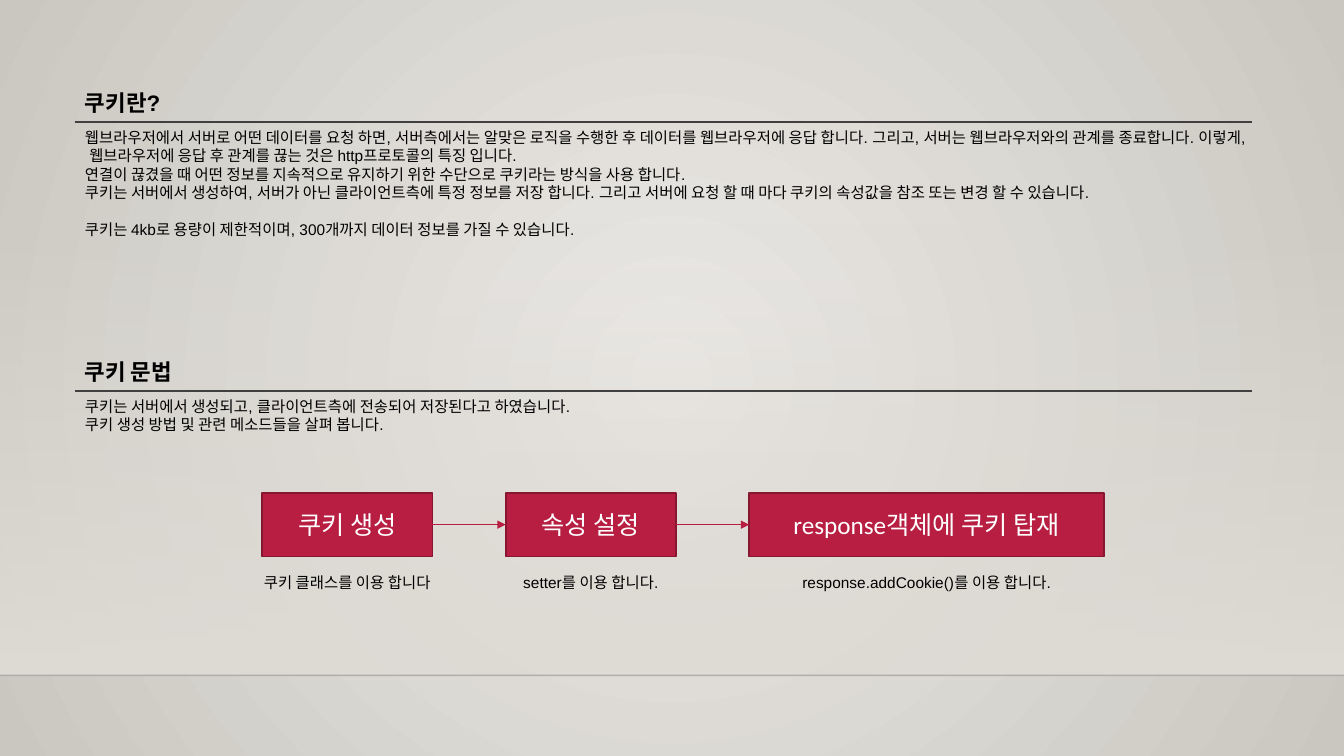
"""Build a slide that explains cookies and the steps of creating one."""
from dataclasses import dataclass

from lxml.etree import SubElement, fromstring
from pptx import Presentation
from pptx.dml.color import RGBColor
from pptx.enum.shapes import MSO_CONNECTOR as Connector, MSO_SHAPE as Preset
from pptx.enum.text import MSO_ANCHOR as Anchor, MSO_AUTO_SIZE as AutoSize, PP_ALIGN as Align
from pptx.oxml.ns import nsdecls, qn
from pptx.util import Pt

SLIDE_WIDTH, SLIDE_HEIGHT = 960, 540
MARGIN, CONTENT_WIDTH = 53.5, 841
FLOOR = 482.4
STEP_LEFT, STEP_TOP, STEP_HEIGHT, STEP_GAP = 187.2, 352, 45.5, 52.3
CAPTION_TOP = 406
BLACK, WHITE, RULE, CRIMSON, DARK_CRIMSON = "000000", "FFFFFF", "404040", "B71E42", "871631"


@dataclass
class Section:
    top: float
    heading: str
    lines: list[str]
    body_height: float
    last_gap: float = 0


@dataclass
class Step:
    label: str
    caption: str
    width: float
    caption_width: float


SECTIONS = [
    Section(60, "쿠키란?", [
        "웹브라우저에서 서버로 어떤 데이터를 요청 하면, 서버측에서는 알맞은 로직을 수행한 후 데이터를 "
        "웹브라우저에 응답 합니다. 그리고, 서버는 웹브라우저와의 관계를 종료합니다. "
        "이렇게, 웹브라우저에 응답 후 관계를 끊는 것은 http프로토콜의 특징 입니다.",
        "연결이 끊겼을 때 어떤 정보를 지속적으로 유지하기 위한 수단으로 쿠키라는 방식을 사용 합니다.",
        "쿠키는 서버에서 생성하여, 서버가 아닌 클라이언트측에 특정 정보를 저장 합니다. "
        "그리고 서버에 요청 할 때 마다 쿠키의 속성값을 참조 또는 변경 할 수 있습니다.",
        "쿠키는 4kb로 용량이 제한적이며, 300개까지 데이터 정보를 가질 수 있습니다.",
    ], 87, 13.2),
    Section(252.2, "쿠키 문법", [
        "쿠키는 서버에서 생성되고, 클라이언트측에 전송되어 저장된다고 하였습니다.",
        "쿠키 생성 방법 및 관련 메소드들을 살펴 봅니다.",
    ], 34),
]
STEPS = [
    Step("쿠키 생성", "쿠키 클래스를 이용 합니다", 121.7, 155.5),
    Step("속성 설정", "setter를 이용 합니다.", 121.7, 155.5),
    Step("response객체에 쿠키 탑재", "response.addCookie()를 이용 합니다.", 253.4, 216),
]


def paint(target, color: str) -> None:
    """Give a fill, line or font colour format a hex colour."""
    target.rgb = RGBColor.from_string(color)


def place(shape, left: float, top: float, width: float, height: float) -> None:
    """Position a shape in points."""
    shape.left, shape.top, shape.width, shape.height = Pt(left), Pt(top), Pt(width), Pt(height)


def write(shape, lines: list[str], *, size: float = 11, font: str = "Arial", color: str = BLACK,
          bold: bool = False, align=Align.LEFT, anchor=Anchor.TOP, last_gap: float = 0) -> None:
    """Fill a shape with unbulleted paragraphs."""
    frame = shape.text_frame
    frame.word_wrap, frame.auto_size, frame.vertical_anchor = True, AutoSize.NONE, anchor
    for number, line in enumerate(lines):
        paragraph = frame.paragraphs[0] if number == 0 else frame.add_paragraph()
        paragraph.alignment = align
        paragraph.space_before = Pt(last_gap if 0 < number == len(lines) - 1 else 0)
        properties = paragraph._p.get_or_add_pPr()
        properties.set("marL", "0")
        properties.set("indent", "0")
        SubElement(properties, qn("a:buNone"))
        run = paragraph.add_run()
        run.text = line
        run.font.size, run.font.name, run.font.bold = Pt(size), font, bold
        paint(run.font.color, color)


def set_gradient(fill, owner, stops: list[tuple[str, int]], direction: str) -> None:
    """Replace a fill with a two-stop gradient of colours and opacities."""
    fill.gradient()
    previous = owner.find(".//" + qn("a:gradFill"))
    marks = "".join(
        f'<a:gs pos="{100000 * number}"><a:srgbClr val="{color}">'
        f'<a:alpha val="{opacity * 1000}"/></a:srgbClr></a:gs>'
        for number, (color, opacity) in enumerate(stops))
    previous.getparent().replace(previous, fromstring(
        f'<a:gradFill {nsdecls("a")} rotWithShape="1"><a:gsLst>{marks}</a:gsLst>{direction}</a:gradFill>'))


def draw_line(shapes, start: tuple[float, float], end: tuple[float, float], color: str,
              weight: float, *, arrow: bool = False, opacity: int = 100):
    """Draw a straight line, with an arrowhead if asked."""
    line = shapes.add_connector(Connector.STRAIGHT, *map(Pt, start + end))
    paint(line.line.color, color)
    line.line.width = Pt(weight)
    outline = line.line._get_or_add_ln()
    if opacity < 100:
        SubElement(outline.find(".//" + qn("a:srgbClr")), qn("a:alpha"), val=str(opacity * 1000))
    if arrow:
        SubElement(outline, qn("a:tailEnd"), type="triangle")
    SubElement(line._element.spPr, qn("a:effectLst"))
    return line


def draw_backdrop(slide) -> None:
    """Paint the background, the wall's shading and the floor line."""
    set_gradient(slide.background.fill, slide._element, [("ECEAE7", 100), ("CAC7C1", 100)],
                 '<a:path path="circle"><a:fillToRect l="50000" t="50000" r="50000" b="50000"/></a:path>')
    wall = slide.shapes.add_shape(Preset.RECTANGLE, 0, Pt(159), Pt(SLIDE_WIDTH), Pt(FLOOR - 159))
    wall.shadow.inherit = False
    wall.line.fill.background()
    set_gradient(wall.fill, wall._element, [("DFDBD5", 0), ("DFDBD5", 100)],
                 '<a:lin ang="5400000" scaled="0"/>')
    floor = draw_line(slide.shapes, (0, FLOOR), (SLIDE_WIDTH, FLOOR), "000001", 1, opacity=20)
    tree = wall._element.getparent()
    tree.insert(2, wall._element)
    tree.insert(3, floor._element)


def draw_section(shapes, section: Section, heading, body) -> None:
    """Fill a heading and its body, parted by a rule."""
    place(heading, MARGIN, section.top, CONTENT_WIDTH, 26.6)
    write(heading, [section.heading], size=16, bold=True)
    rule_top = section.top + 27.1
    draw_line(shapes, (MARGIN, rule_top), (MARGIN + CONTENT_WIDTH, rule_top), RULE, 1)
    place(body, MARGIN, section.top + 27.8, CONTENT_WIDTH, section.body_height)
    write(body, section.lines, last_gap=section.last_gap)


def draw_step(shapes, step: Step, left: float):
    """Draw a step's box with its caption centred below."""
    box = shapes.add_shape(Preset.RECTANGLE, Pt(left), Pt(STEP_TOP), Pt(step.width), Pt(STEP_HEIGHT))
    box.shadow.inherit = False
    box.fill.solid()
    paint(box.fill.fore_color, CRIMSON)
    paint(box.line.color, DARK_CRIMSON)
    box.line.width = Pt(1.25)
    write(box, [step.label], size=18, font="Calibri", color=WHITE, align=Align.CENTER, anchor=Anchor.MIDDLE)
    caption_left = left + (step.width - step.caption_width) / 2
    caption = shapes.add_textbox(Pt(caption_left), Pt(CAPTION_TOP), Pt(step.caption_width), Pt(20.6))
    write(caption, [step.caption], align=Align.CENTER)
    return box


def main() -> None:
    """Assemble and save the slide."""
    deck = Presentation()
    deck.slide_width, deck.slide_height = Pt(SLIDE_WIDTH), Pt(SLIDE_HEIGHT)
    slide = deck.slides.add_slide(deck.slide_layouts[3])
    shapes = slide.shapes
    draw_backdrop(slide)
    title, definition, syntax = slide.placeholders
    syntax_heading = shapes.add_textbox(0, 0, 0, 0)
    for section, heading, body in zip(SECTIONS, (title, syntax_heading), (definition, syntax)):
        draw_section(shapes, section, heading, body)

    left, previous = STEP_LEFT, None
    for step in STEPS:
        box = draw_step(shapes, step, left)
        if previous:
            middle = STEP_TOP + STEP_HEIGHT / 2
            arrow = draw_line(shapes, (left - STEP_GAP, middle), (left, middle), CRIMSON, 0.75, arrow=True)
            arrow.begin_connect(previous, 3)
            arrow.end_connect(box, 1)
        left, previous = left + step.width + STEP_GAP, box
    deck.save("out.pptx")


if __name__ == "__main__":
    main()
